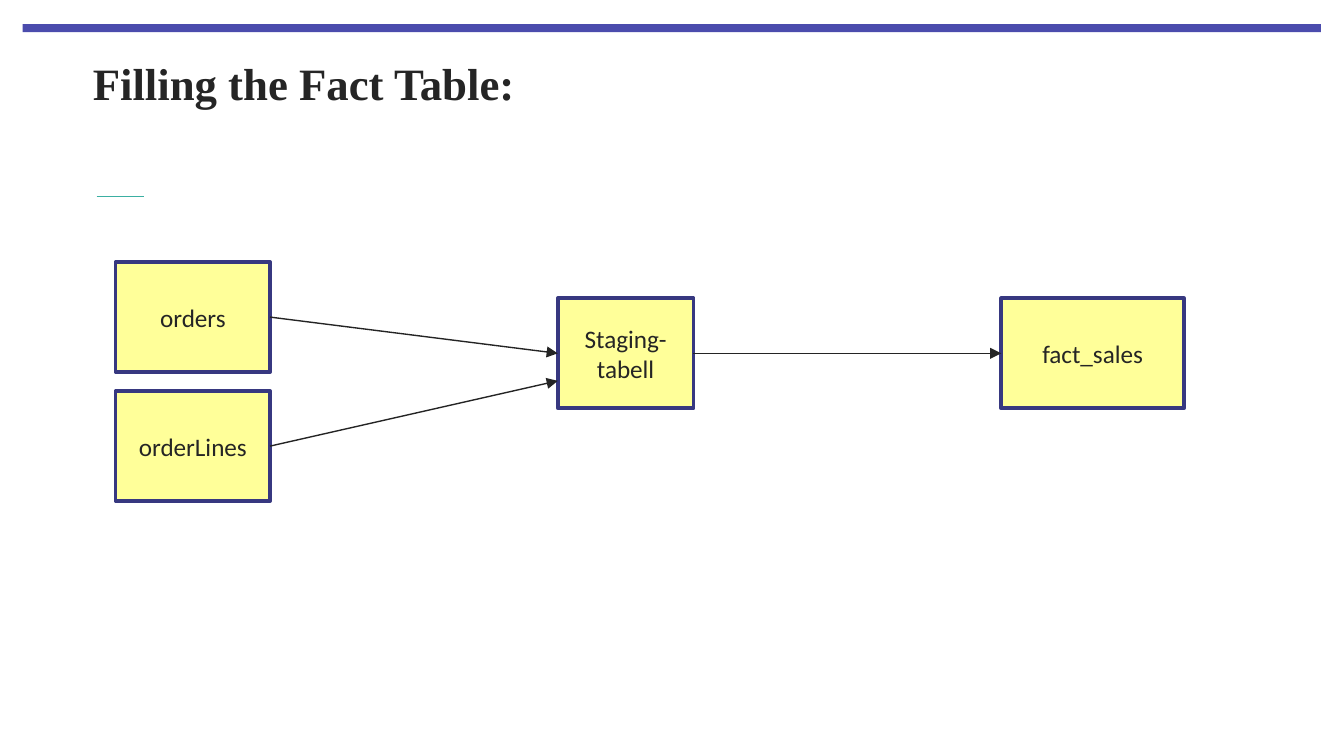
"""Build a slide showing how source tables fill the fact table through staging."""
import lxml.etree
import pptx
import pptx.dml.color
import pptx.enum.shapes
import pptx.enum.text
import pptx.oxml
import pptx.oxml.ns
import pptx.util

Pt = pptx.util.Pt
COLORS = {
    "bar": "4B4CAD", "accent": "3BAFA2", "text": "252525",
    "box": "FFFF99", "border": "373880", "arrow": "242424",
}
TITLE = "Filling the Fact Table:"
BOX_HEIGHT = 59
BOXES = {
    "orders": (61.9, 140.4, 82.8),
    "orderLines": (61.9, 209.5, 82.8),
    "Staging-tabell": (298.8, 159.8, 72.7),
    "fact_sales": (536.4, 159.8, 97.9),
}
FLOWS = [
    ("orders", "Staging-tabell", 0.5),
    ("orderLines", "Staging-tabell", 0.75),
    ("Staging-tabell", "fact_sales", 0.5),
]
TITLE_FONT = {"name": "Times New Roman", "size": Pt(24), "bold": True}
BOX_FONT = {"name": "Calibri", "size": Pt(13.5), "bold": False}
TITLE_FRAME = {
    "word_wrap": True, "vertical_anchor": pptx.enum.text.MSO_ANCHOR.MIDDLE,
    "margin_left": 0, "margin_top": 0, "margin_right": 0, "margin_bottom": 0,
}
BOX_FRAME = {"word_wrap": True, "vertical_anchor": pptx.enum.text.MSO_ANCHOR.MIDDLE}


def rgb(name):
    return pptx.dml.color.RGBColor.from_string(COLORS[name])


def set_values(target, values):
    for name, value in values.items():
        setattr(target, name, value)


def write_text(shape, text, frame_format, font_format, alignment):
    set_values(shape.text_frame, frame_format)
    paragraph = shape.text_frame.paragraphs[0]
    paragraph.alignment = alignment
    run = paragraph.add_run()
    run.text = text
    set_values(run.font, font_format)
    run.font.color.rgb = rgb("text")


def add_rectangle(slide, left, top, width, height, fill):
    shape = slide.shapes.add_shape(
        pptx.enum.shapes.MSO_SHAPE.RECTANGLE, Pt(left), Pt(top), Pt(width), Pt(height))
    shape.shadow.inherit = False
    shape.fill.solid()
    shape.fill.fore_color.rgb = rgb(fill)
    shape.line.fill.background()
    return shape


def add_box(slide, label, left, top, width):
    shape = add_rectangle(slide, left, top, width, BOX_HEIGHT, "box")
    shape.line.color.rgb = rgb("border")
    shape.line.width = Pt(2)
    write_text(shape, label, BOX_FRAME, BOX_FONT, pptx.enum.text.PP_ALIGN.CENTER)
    return shape


def add_line(slide, start, end, color, width):
    connector = slide.shapes.add_connector(
        pptx.enum.shapes.MSO_CONNECTOR.STRAIGHT, *map(Pt, start + end))
    connector.line.color.rgb = rgb(color)
    connector.line.width = Pt(width)
    lxml.etree.SubElement(
        connector._element.spPr, pptx.oxml.ns.qn("a:effectLst"))
    return connector


def add_flow(slide, shapes, source, target, height_share):
    left, top, width = BOXES[source]
    target_left, target_top, _ = BOXES[target]
    start = (left + width, top + BOX_HEIGHT / 2)
    end = (target_left, target_top + BOX_HEIGHT * height_share)
    connector = add_line(slide, start, end, "arrow", 0.75)
    connector.begin_connect(shapes[source], 3)
    if height_share == 0.5:
        connector.end_connect(shapes[target], 1)
    lxml.etree.SubElement(
        connector.line._get_or_add_ln(), pptx.oxml.ns.qn("a:tailEnd"), type="triangle")


def main():
    presentation = pptx.Presentation()
    presentation.slide_width, presentation.slide_height = Pt(720), Pt(405)
    slide = presentation.slides.add_slide(presentation.slide_layouts[6])
    add_rectangle(slide, 12.2, 13, 695.5, 4.3, "bar")
    add_line(slide, (51.8, 105.1), (77, 105.1), "accent", 0.5)
    title = slide.shapes.add_textbox(Pt(49.7), Pt(21.6), Pt(620.6), Pt(45.4))
    write_text(title, TITLE, TITLE_FRAME, TITLE_FONT, pptx.enum.text.PP_ALIGN.LEFT)
    shapes = {label: add_box(slide, label, *place) for label, place in BOXES.items()}
    for flow in FLOWS:
        add_flow(slide, shapes, *flow)
    presentation.save("out.pptx")


if __name__ == "__main__":
    main()
